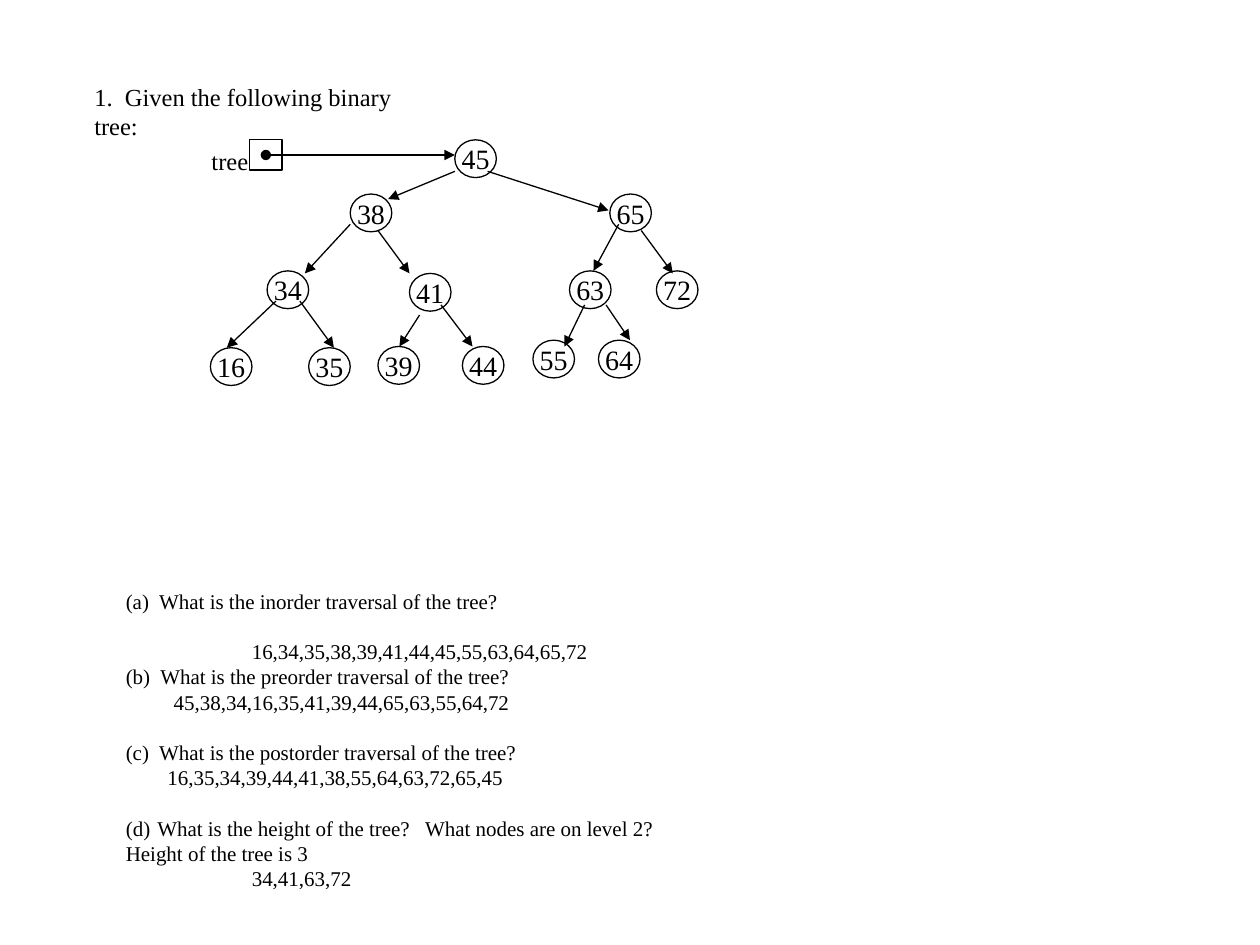
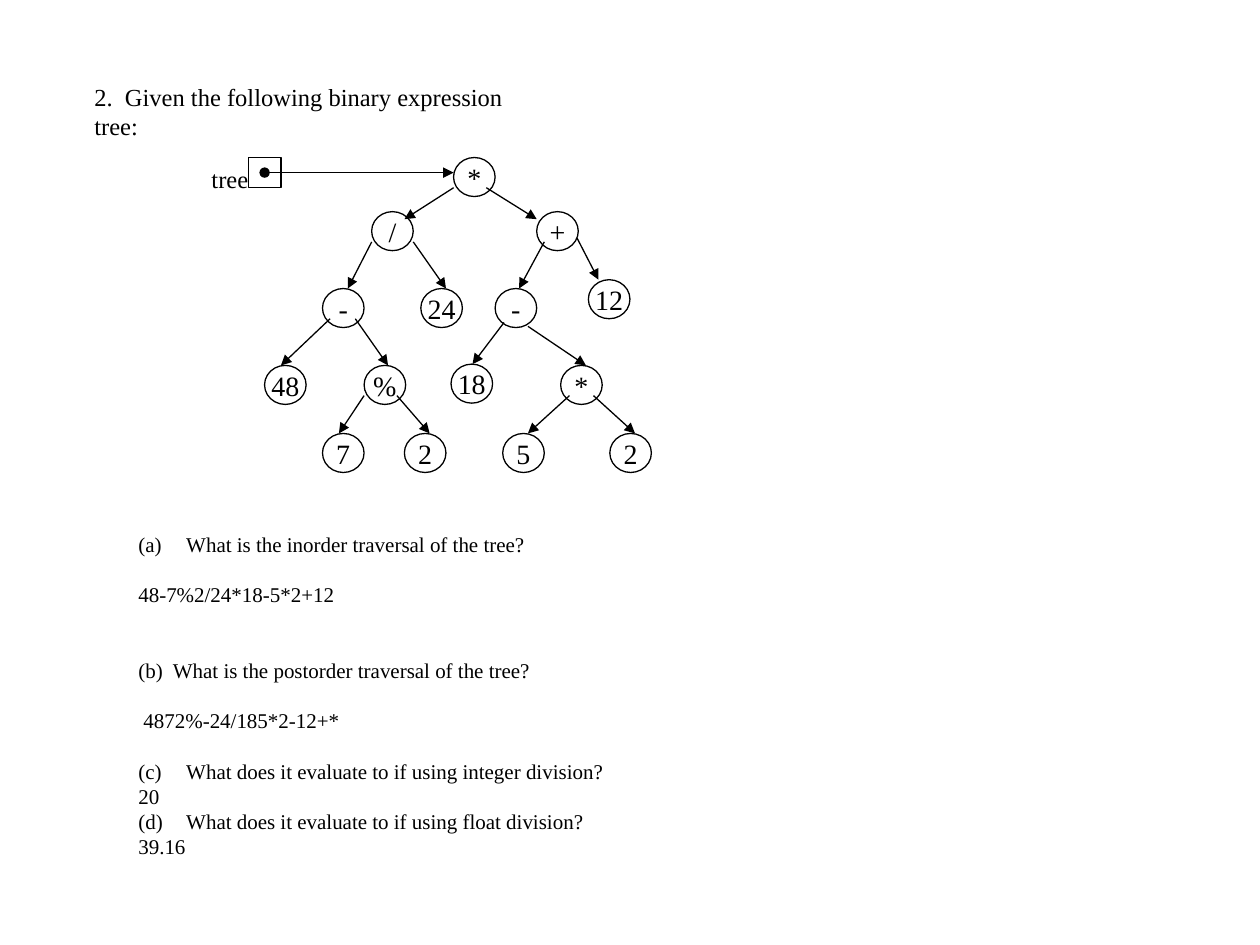
import pptx
import pptx.util
import pptx.dml.color
import pptx.enum.shapes
import pptx.enum.text
from lxml import etree
from pptx.util import Inches, Pt

COLORS = {"ink": "000000", "paper": "FFFFFF"}
FONT = "Times New Roman"
NODE_W = 0.33
LINE_W = 0.75
BODY_LINE = 14.4  # height of one 12 pt line, the unit of paragraph gaps
A = "{http://schemas.openxmlformats.org/drawingml/2006/main}"
SHAPES = pptx.enum.shapes.MSO_SHAPE
ALIGN = pptx.enum.text.PP_ALIGN

# Nodes: label, left, top.  Edges: x1, y1, x2, y2.
SEARCH_TREE = {
    "pointer": (1.98, 1.11),
    "node_h": 0.3,
    "nodes": [
        ("45", 3.61, 1.11),
        ("38", 2.78, 1.54), ("65", 4.84, 1.54),
        ("34", 2.12, 2.15), ("41", 3.25, 2.17),
        ("63", 4.52, 2.15), ("72", 5.21, 2.15),
        ("16", 1.67, 2.76), ("35", 2.45, 2.76),
        ("39", 3, 2.75), ("44", 3.67, 2.75),
        ("55", 4.23, 2.7), ("64", 4.75, 2.7),
    ],
    "edges": [
        (3.61, 1.36, 3.08, 1.58), (3.87, 1.36, 4.83, 1.67),
        (2.78, 1.78, 2.42, 2.17), (3, 1.83, 3.25, 2.17),
        (4.91, 1.78, 4.71, 2.15), (5.09, 1.83, 5.34, 2.17),
        (2.19, 2.39, 1.8, 2.76), (2.38, 2.39, 2.65, 2.76),
        (3.33, 2.5, 3.17, 2.75), (3.5, 2.42, 3.75, 2.75),
        (4.64, 2.42, 4.48, 2.75), (4.81, 2.42, 5, 2.7),
    ],
}
EXPRESSION_TREE = {
    "pointer": (1.97, 1.25),
    "node_h": 0.31,
    "nodes": [
        ("*", 3.6, 1.25),
        ("/", 2.95, 1.68), ("+", 4.26, 1.68),
        ("-", 2.56, 2.29), ("24", 3.34, 2.29),
        ("-", 3.93, 2.29), ("12", 4.67, 2.22),
        ("48", 2.1, 2.9), ("%", 2.89, 2.9),
        ("18", 3.58, 2.89), ("*", 4.45, 2.9),
        ("7", 2.56, 3.44), ("2", 3.21, 3.44),
        ("5", 3.99, 3.44), ("2", 4.84, 3.44),
    ],
    "edges": [
        (3.6, 1.49, 3.21, 1.74), (3.86, 1.49, 4.26, 1.74),
        (2.95, 1.92, 2.76, 2.29), (3.28, 1.92, 3.54, 2.29),
        (4.32, 1.92, 4.12, 2.29), (4.58, 1.89, 4.75, 2.22),
        (2.62, 2.53, 2.23, 2.9), (2.82, 2.53, 3.08, 2.9),
        (4, 2.56, 3.75, 2.89), (4.19, 2.59, 4.65, 2.9),
        (2.89, 3.14, 2.69, 3.44), (3.15, 3.14, 3.41, 3.44),
        (4.52, 3.14, 4.19, 3.44), (4.71, 3.14, 5.04, 3.44),
    ],
}

# Paragraphs: text, lines of gap before, left indent, letter number (0 = none)
SEARCH_QUESTIONS = [
    ("(a)  What is the inorder traversal of the tree?", 0, 0, 0),
    ("16,34,35,38,39,41,44,45,55,63,64,65,72", 1, 1, 0),
    ("(b)  What is the preorder traversal of the tree?", 0, 0, 0),
    ("45,38,34,16,35,41,39,44,65,63,55,64,72", 0, 0.38, 0),
    ("(c)  What is the postorder traversal of the tree?", 1, 0, 0),
    ("16,35,34,39,44,41,38,55,64,63,72,65,45", 0, 0.33, 0),
    ("What is the height of the tree?   What nodes are on level 2?", 1, 0.25, 4),
    ("Height of the tree is 3", 0, 0, 0),
    ("34,41,63,72", 0, 1, 0),
]
EXPRESSION_QUESTIONS = [
    ("What is the inorder traversal of the tree?", 0, 0.38, 1),
    ("48-7%2/24*18-5*2+12", 1, 0, 0),
    ("(b)  What is the postorder traversal of the tree?", 2, 0, 0),
    ("4872%-24/185*2-12+*", 1, 0.04, 0),
    ("What does it evaluate to if using integer division?", 1, 0.38, 3),
    ("20", 0, 0, 0),
    ("What does it evaluate to if using float division?", 0, 0.38, 4),
    ("39.16", 0, 0, 0),
]


def color(name):
    return pptx.dml.color.RGBColor.from_string(COLORS[name])


def style(p, size, align=ALIGN.LEFT):
    p.alignment = align
    p.font.size = Pt(size)
    p.font.name = FONT
    p.font.color.rgb = color("ink")


def add_text(s, x, y, w, h, size, text="", wrap=True):
    tf = s.shapes.add_textbox(Inches(x), Inches(y), Inches(w), Inches(h)).text_frame
    tf.word_wrap = wrap
    p = tf.paragraphs[0]
    p.text = text
    style(p, size)
    return tf


def add_outline(s, kind, x, y, w, h):
    sp = s.shapes.add_shape(kind, Inches(x), Inches(y), Inches(w), Inches(h))
    sp.shadow.inherit = False
    sp.fill.background()
    sp.line.color.rgb = color("ink")
    sp.line.width = Pt(LINE_W)
    return sp


def add_node(s, label, x, y, h):
    tf = add_outline(s, SHAPES.OVAL, x, y, NODE_W, h).text_frame
    tf.word_wrap = False
    tf.vertical_anchor = pptx.enum.text.MSO_ANCHOR.MIDDLE
    p = tf.paragraphs[0]
    p.text = label
    style(p, 16, ALIGN.CENTER)


def add_arrow(s, x1, y1, x2, y2, head=None):
    line = s.shapes.add_connector(pptx.enum.shapes.MSO_CONNECTOR.STRAIGHT,
                                  Inches(x1), Inches(y1), Inches(x2), Inches(y2))
    line.line.color.rgb = color("ink")
    line.line.width = Pt(LINE_W)
    ln = line.line._get_or_add_ln()
    if head:
        etree.SubElement(ln, A + "headEnd", type=head)
    etree.SubElement(ln, A + "tailEnd", type="triangle")
    etree.SubElement(line._element.spPr, A + "effectLst")


def add_tree(s, tree):
    for label, x, y in tree["nodes"]:
        add_node(s, label, x, y, tree["node_h"])
    for edge in tree["edges"]:
        add_arrow(s, *edge)
    # Root pointer: boxed dot with an arrow to the root
    x, y = tree["pointer"]
    add_outline(s, SHAPES.RECTANGLE, x, y, 0.26, 0.24)
    add_text(s, 1.58, y, 0.49, 0.33, 14, "tree", wrap=False)
    add_arrow(s, x + 0.13, y + 0.12, tree["nodes"][0][1], y + 0.12, head="oval")


def add_questions(s, x, y, w, h, questions):
    tf = add_text(s, x, y, w, h, 12)
    for i, (text, gap, indent, number) in enumerate(questions):
        p = tf.add_paragraph() if i else tf.paragraphs[0]
        p.text = text
        style(p, 12)
        p.space_before = Pt(gap * BODY_LINE)
        pPr = p._p.get_or_add_pPr()
        pPr.set("marL", str(Inches(indent)))
        pPr.set("indent", str(Inches(-indent if number else 0)))
        if number:
            bullet = etree.Element(A + "buAutoNum", type="alphaLcParenBoth",
                                   startAt=str(number))
            pPr.find(A + "defRPr").addprevious(bullet)


def add_slide(prs, title, title_w, tree, questions, box):
    s = prs.slides.add_slide(prs.slide_layouts[6])
    s.background.fill.solid()
    s.background.fill.fore_color.rgb = color("paper")
    add_text(s, 0.65, 0.6, title_w, 0.33, 14, title)
    add_questions(s, *box, questions)
    add_tree(s, tree)


def main():
    prs = pptx.Presentation()
    prs.slide_width, prs.slide_height = Inches(10), Inches(7.5)
    # Binary search tree
    add_slide(prs, "1.  Given the following binary tree:", 2.9,
              SEARCH_TREE, SEARCH_QUESTIONS, (0.9, 4.62, 4.45, 2.52))
    # Expression tree
    add_slide(prs, "2.  Given the following binary expression tree:", 3.78,
              EXPRESSION_TREE, EXPRESSION_QUESTIONS, (1, 4.17, 3.94, 3.13))
    prs.save("out.pptx")


main()
